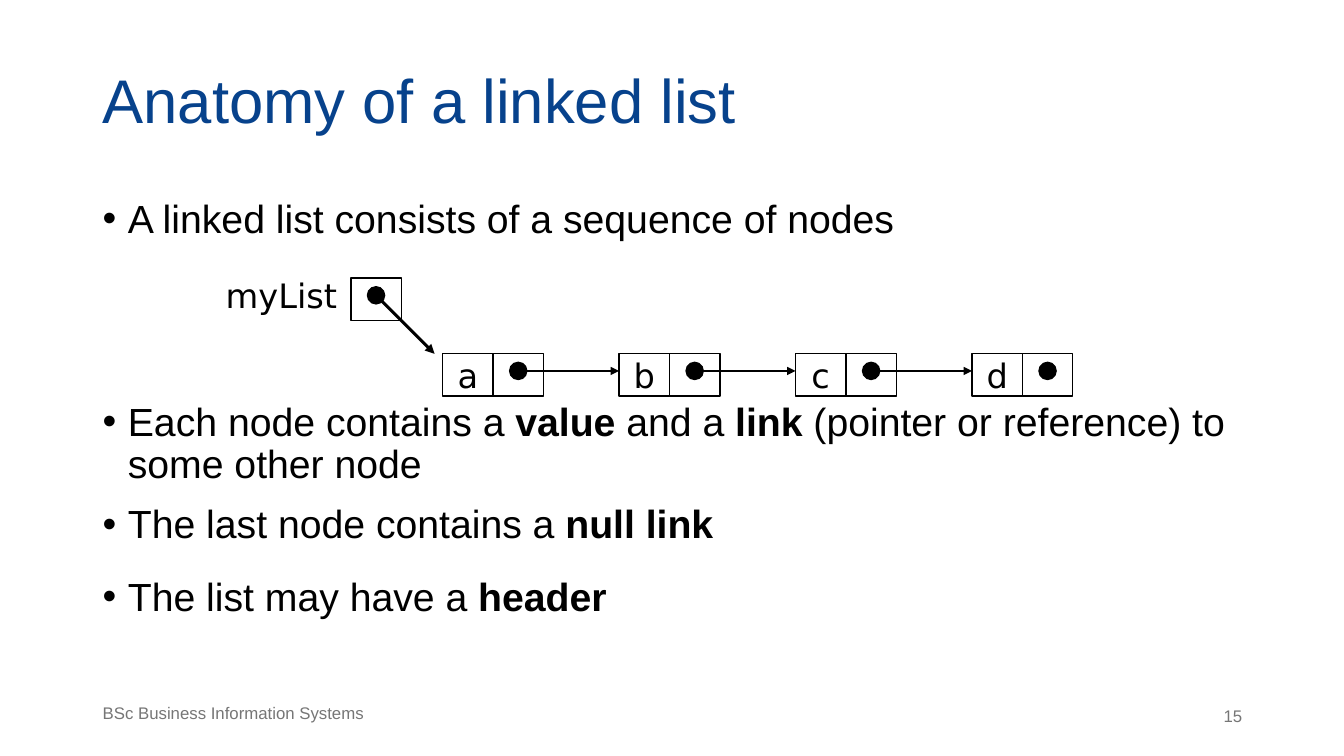
from lxml.etree import SubElement
from pptx import Presentation
from pptx.dml.color import RGBColor
from pptx.enum.shapes import MSO_CONNECTOR, MSO_SHAPE
from pptx.enum.text import MSO_ANCHOR, PP_ALIGN
from pptx.oxml.ns import qn
from pptx.util import Inches, Pt

COLORS = {"title": "07428C", "ink": "000000", "footer": "767676"}
TITLE = "Anatomy of a linked list"
FOOTER = "BSc Business Information Systems"
PAGE = "15"
LIST_NAME = "myList"
NODES = ["a", "b", "c", "d"]
BULLETS = [
    (1.88, 0.74, [("A linked list consists of a sequence of nodes", False)]),
    (3.89, 1.09, [("Each node contains a ", False), ("value", True),
                  (" and a ", False), ("link", True),
                  (" (pointer or reference) to some other node", False)]),
    (4.91, 0.72, [("The last node contains a ", False), ("null link", True)]),
    (5.63, 0.72, [("The list may have a ", False), ("header", True)]),
]
LEFT = 0.92
CELL_W, CELL_H, DOT = 0.5, 0.42, 0.17
NODE_X, NODE_Y, NODE_STEP = 4.39, 3.51, 1.75
HEAD_X, HEAD_Y = 3.48, 2.76

prs = Presentation()
prs.slide_width, prs.slide_height = Inches(13.33), Inches(7.5)
s = prs.slides.add_slide(prs.slide_layouts[6])


def rgb(name):
    return RGBColor.from_string(COLORS[name])


def add_run(p, text, size, color, font="Arial", bold=False):
    r = p.add_run()
    r.text = text
    r.font.size, r.font.name, r.font.bold = Pt(size), font, bold
    r.font.color.rgb = rgb(color)


def add_text(x, y, w, h, runs, size, color, font="Arial", inset=0.05,
             spacing=None, align=PP_ALIGN.LEFT, anchor=MSO_ANCHOR.TOP):
    tf = s.shapes.add_textbox(Inches(x), Inches(y), Inches(w), Inches(h)).text_frame
    tf.word_wrap = True
    tf.vertical_anchor = anchor
    tf.margin_top = tf.margin_bottom = Inches(inset)
    p = tf.paragraphs[0]
    p.alignment = align
    if spacing:
        p.line_spacing = spacing
    for text, bold in runs:
        add_run(p, text, size, color, font, bold)
    return p


def add_bullet(y, h, runs):
    p = add_text(LEFT, y, 12.28, h, runs, 28, "ink", inset=0.1, spacing=0.9)
    pPr = p._p.get_or_add_pPr()
    pPr.set("marL", str(Inches(0.25)))
    pPr.set("indent", str(-Inches(0.25)))
    SubElement(pPr, qn("a:buFont"), typeface="Arial")
    SubElement(pPr, qn("a:buChar"), char="•")


def add_shape(kind, x, y, w, h, filled=False):
    sp = s.shapes.add_shape(kind, Inches(x), Inches(y), Inches(w), Inches(h))
    sp.shadow.inherit = False
    if filled:
        sp.fill.solid()
        sp.fill.fore_color.rgb = rgb("ink")
    else:
        sp.fill.background()
    sp.line.color.rgb = rgb("ink")
    sp.line.width = Pt(1)
    return sp


def add_cell(x, y, label=None):
    sp = add_shape(MSO_SHAPE.RECTANGLE, x, y, CELL_W, CELL_H)
    if label:
        tf = sp.text_frame
        tf.word_wrap = False
        tf.vertical_anchor = MSO_ANCHOR.MIDDLE
        p = tf.paragraphs[0]
        p.alignment = PP_ALIGN.CENTER
        add_run(p, label, 24, "ink", "DejaVu Sans")


def add_link_cell(x, y):
    cx, cy = x + CELL_W / 2, y + DOT
    add_cell(x, y)
    add_shape(MSO_SHAPE.OVAL, cx - DOT / 2, cy - DOT / 2, DOT, DOT, filled=True)
    return cx, cy


def add_arrow(x1, y1, x2, y2, width):
    c = s.shapes.add_connector(MSO_CONNECTOR.STRAIGHT, Inches(x1), Inches(y1),
                               Inches(x2), Inches(y2))
    c.line.color.rgb = rgb("ink")
    c.line.width = Pt(width)
    SubElement(c.line._get_or_add_ln(), qn("a:tailEnd"), type="triangle")
    SubElement(c._element.spPr, qn("a:effectLst"))


add_text(LEFT, 0.52, 9.38, 0.94, [(TITLE, False)], 44, "title", inset=0.1,
         spacing=0.9, anchor=MSO_ANCHOR.BOTTOM)
add_text(LEFT, 6.94, 3.39, 0.41, [(FOOTER, False)], 12, "footer", spacing=0.9)
add_text(10.19, 6.95, 2.23, 0.4, [(PAGE, False)], 12, "footer", align=PP_ALIGN.RIGHT)

for bullet in BULLETS:
    add_bullet(*bullet)

add_text(2.14, 2.68, 1.42, 0.5, [(LIST_NAME, False)], 24, "ink", "DejaVu Sans")
cx, cy = add_link_cell(HEAD_X, HEAD_Y)
add_arrow(cx, cy, 4.31, NODE_Y, 2.25)

for i, label in enumerate(NODES):
    x = NODE_X + i * NODE_STEP
    add_cell(x, NODE_Y, label)
    cx, cy = add_link_cell(x + CELL_W, NODE_Y)
    if i < len(NODES) - 1:
        add_arrow(cx, cy, x + NODE_STEP, cy, 1)

prs.save("out.pptx")
